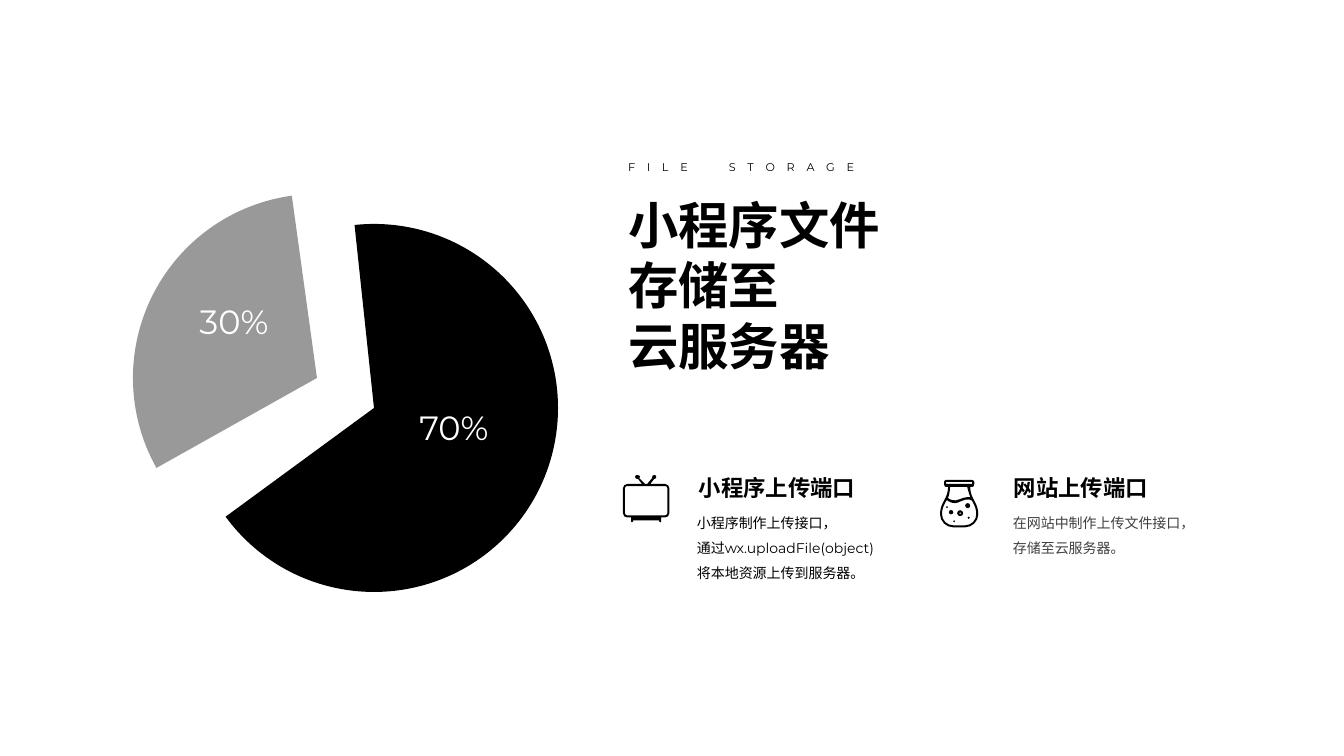
from pptx import Presentation
from pptx.dml.color import RGBColor
from pptx.enum.shapes import MSO_SHAPE
from pptx.enum.text import MSO_ANCHOR, MSO_AUTO_SIZE, PP_ALIGN
from pptx.oxml.ns import qn
from pptx.util import Emu, Pt

EMU_PER_PX = 914400 / 100.8
ICON_UNIT = 10  # freeform units in one icon unit (1/100 inch)
BLACK, GREY, DARK, WHITE = "000000", "999999", "404040", "FFFFFF"


def px(length):
    return Emu(round(length * EMU_PER_PX))


def color(code):
    return RGBColor.from_string(code)


def write(frame, paragraphs, size, fill=BLACK, bold=False,
          align=PP_ALIGN.LEFT, spacing=1.0):
    """Each paragraph is a list of (text, letter spacing in points)."""
    frame.word_wrap = True
    frame.auto_size = MSO_AUTO_SIZE.NONE
    frame.vertical_anchor = MSO_ANCHOR.TOP
    frame.margin_left = frame.margin_right = px(5)
    frame.margin_top = frame.margin_bottom = px(2)
    for index, pieces in enumerate(paragraphs):
        para = frame.add_paragraph() if index else frame.paragraphs[0]
        para.alignment, para.line_spacing = align, spacing
        for text, tracking in pieces:
            span = para.add_run()
            span.text = text
            span.font.name, span.font.size = "Montserrat", Pt(size)
            span.font.bold = bold
            span.font.color.rgb = color(fill)
            if tracking:
                span.font._element.set("spc", str(round(tracking * 100)))


def plain(*lines):
    return [[(line, 0)] for line in lines]


def circle(x, y, r):
    """Four cubic curves around a centre."""
    k = r * 0.55
    return [(x, y - r),
            (x + k, y - r, x + r, y - k, x + r, y),
            (x + r, y + k, x + k, y + r, x, y + r),
            (x - k, y + r, x - r, y + k, x - r, y),
            (x - r, y - k, x - k, y - r, x, y - r)]


def bend(shape, outlines):
    """Join the three segments of every six-number part into a cubic curve."""
    segments = iter(list(shape._element.iter(qn("a:lnTo"))))
    for outline in outlines:
        for part in outline[1:]:
            lines = [next(segments) for _ in range(len(part) // 2)]
            if len(lines) == 3:
                curve = lines[0].makeelement(qn("a:cubicBezTo"))
                lines[0].addprevious(curve)
                for line in lines:
                    curve.append(line[0])
                    line.getparent().remove(line)


class SlideMaker:
    def __init__(self, page):
        self.page = page

    def title(self, lines, left, top, width, height, **style):
        box = self.page.shapes.title
        box.left, box.top, box.width, box.height = map(px, (left, top, width, height))
        write(box.text_frame, lines, **style)

    def text(self, lines, left, top, width, height, **style):
        box = self.page.shapes.add_textbox(*map(px, (left, top, width, height)))
        write(box.text_frame, lines, **style)

    def slice(self, left, top, size, start, end, fill):
        pie = self.page.shapes.add_shape(MSO_SHAPE.PIE, *map(px, (left, top, size, size)))
        # Angles are in 1/60000 degree, adjustments in 1/100000
        pie.adjustments[0], pie.adjustments[1] = start * 0.6, end * 0.6
        self.paint(pie, fill)

    def icon(self, outlines, left, top, fill=BLACK):
        builder = None
        for outline in outlines:
            points = [(part[i] * ICON_UNIT, part[i + 1] * ICON_UNIT)
                      for part in outline for i in range(0, len(part), 2)]
            if builder is None:
                builder = self.page.shapes.build_freeform(*points[0], scale=9144 / ICON_UNIT)
            else:
                builder.move_to(*points[0])
            builder.add_line_segments(points[1:], close=True)
        shape = builder.convert_to_shape(px(left), px(top))
        bend(shape, outlines)
        self.paint(shape, fill)

    def paint(self, shape, fill):
        shape.shadow.inherit = False
        shape.fill.solid()
        shape.fill.fore_color.rgb = color(fill)
        shape.line.fill.background()


# Icon outlines, in 1/100 inch from the icon's corner: points and cubic curves
TELEVISION = [
    [(2, 38), (2, 39, 3, 40, 4, 40), (42, 40), (43, 40, 44, 39, 44, 38),
     (44, 13), (44, 12, 43, 11, 42, 11), (4, 11), (3, 11, 2, 12, 2, 13)],
    [(4, 9), (19, 9), (15, 4), (15, 4, 15, 4, 14, 4), (13, 4, 12, 3, 12, 2),
     (12, 1, 13, 0, 14, 0), (16, 0, 17, 1, 17, 2), (17, 2, 17, 3, 16, 3),
     (22, 9), (24, 9), (29, 3), (29, 3, 29, 2, 29, 2), (29, 1, 30, 0, 31, 0),
     (33, 0, 33, 1, 33, 2), (33, 3, 33, 4, 31, 4), (27, 9), (42, 9),
     (44, 9, 46, 11, 46, 13), (46, 38), (46, 41, 44, 42, 42, 42), (38, 42),
     (38, 46), (38, 46, 37, 47, 37, 47), (36, 47, 36, 46, 36, 46), (36, 45),
     (10, 45), (10, 46), (10, 46, 10, 47, 9, 47), (9, 47, 8, 46, 8, 46),
     (8, 42), (4, 42), (2, 42, 0, 41, 0, 38), (0, 13), (0, 11, 2, 9, 4, 9)],
]
FLASK = [
    *(circle(*bubble) for bubble in (
        (14, 41, 1), (20, 33, 1), (20, 33, 3), (11, 32, 2.2))),
    [(13, 45), (25, 45), (31, 45, 36, 40, 36, 34), (36, 28, 34, 25, 32, 21),
     (32, 21, 32, 20, 31, 20), (31, 20, 27, 18, 21, 21),
     (19, 22, 17, 23, 15, 23), (11, 23, 8, 21, 7, 20), (6, 20, 6, 21, 6, 21),
     (4, 25, 2, 28, 2, 34), (2, 40, 7, 45, 13, 45)],
    [(27, 7), (10, 7), (10, 11, 9, 15, 8, 18), (9, 19, 14, 22, 20, 19),
     (24, 17, 28, 17, 30, 17), (29, 14, 28, 11, 27, 7)],
    [(32, 2), (6, 2), (6, 4), (32, 4)],
    [(8, 7), (6, 7), (5, 7, 4, 6, 4, 4), (4, 2), (4, 1, 5, 0, 6, 0), (32, 0),
     (33, 0, 34, 1, 34, 2), (34, 4), (34, 6, 33, 7, 32, 7), (30, 7),
     (30, 19, 38, 22, 38, 34), (38, 41, 32, 47, 25, 47), (13, 47),
     (6, 47, 0, 41, 0, 34), (0, 22, 8, 19, 8, 7)],
    *(circle(*bubble) for bubble in ((7, 27, 1), (27.5, 25.5, 2.5), (28.5, 37.5, 1.2))),
]


def main():
    deck = Presentation()
    deck.slide_width, deck.slide_height = px(1344), px(756)
    maker = SlideMaker(deck.slides.add_slide(deck.slide_layouts[5]))

    # Exploded pie with its shares
    maker.slice(190, 224, 368, 263.93, 143.76, BLACK)
    maker.slice(133, 194, 368, 150.73, 262.15, GREY)
    for share, left, top in (("30%", 160, 299), ("70%", 380, 405)):
        maker.text(plain(share), left, top, 148, 45,
                   size=24, fill=WHITE, align=PP_ALIGN.CENTER)

    # Heading and its spaced-out label
    maker.title(plain("小程序文件", "存储至", "云服务器"), 623, 192, 563, 249,
                size=36, bold=True)
    maker.text([[("FILE", 8.4), (" ", 18.8), ("STORAGE", 8.4)]],
               623, 158, 346, 19, size=8)

    # Upload ports
    ports = (
        ("小程序上传端口", BLACK, TELEVISION, 623, 475,
         ("小程序制作上传接口，", "通过wx.uploadFile(object)", "将本地资源上传到服务器。")),
        ("网站上传端口", DARK, FLASK, 940, 480,
         ("在网站中制作上传文件接口，", "存储至云服务器。")),
    )
    for column, (name, fill, icon, icon_left, icon_top, lines) in enumerate(ports):
        maker.text(plain(*lines), 692 + column * 316, 504, 207, 110,
                   size=10, fill=fill, spacing=1.5)
        maker.text(plain(name), 694 + column * 315, 472, 199, 32, size=16, bold=True)
        maker.icon(icon, icon_left, icon_top)

    deck.save("out.pptx")


if __name__ == "__main__":
    main()
